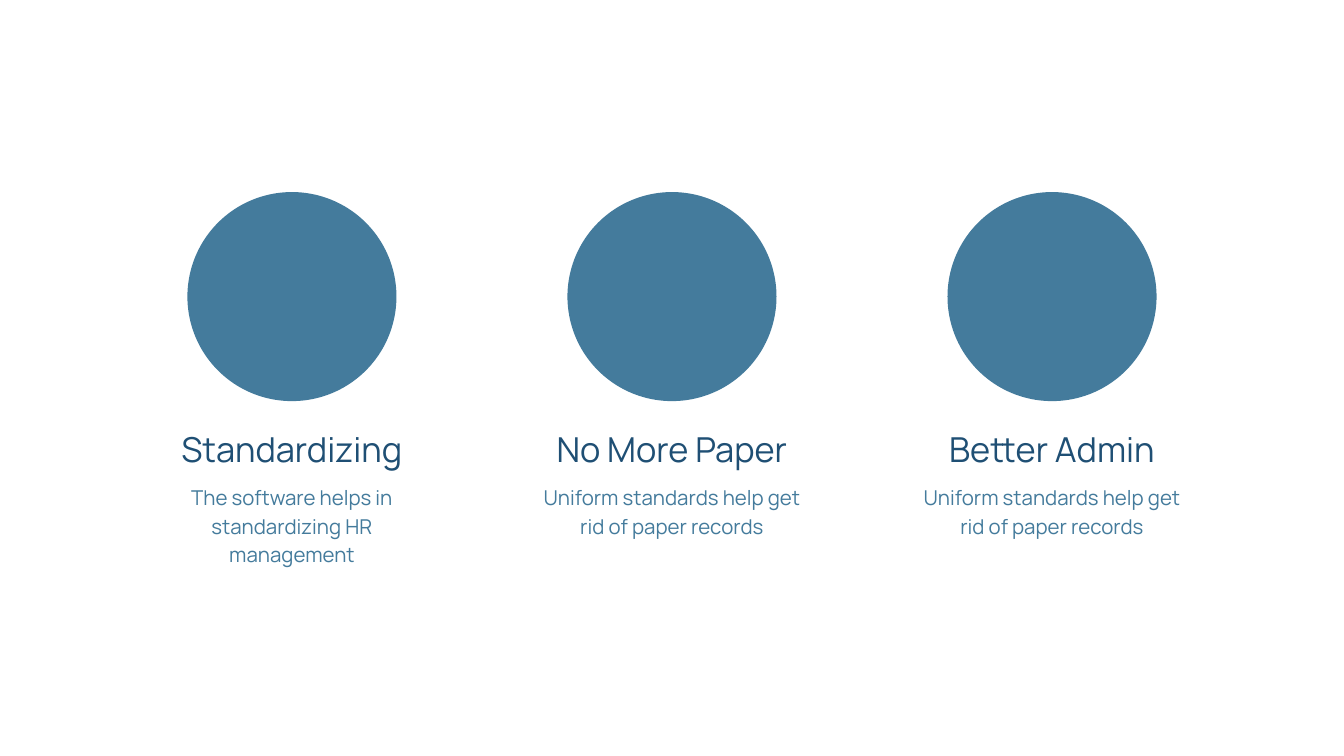
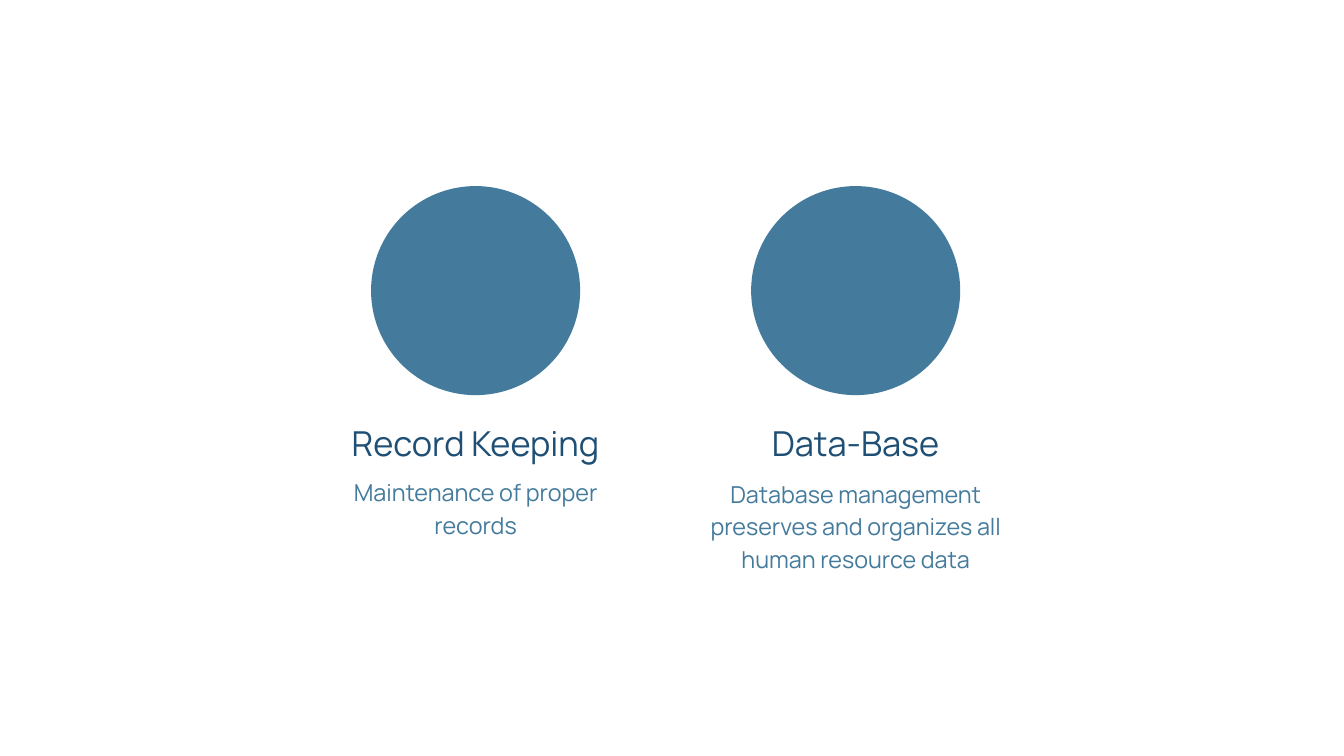
from pptx import Presentation
from pptx.dml.color import RGBColor
from pptx.enum.shapes import MSO_SHAPE
from pptx.enum.text import MSO_ANCHOR, MSO_AUTO_SIZE, PP_ALIGN
from pptx.util import Pt

COLORS = {"background": "FFFFFF", "title": "1F4F74", "accent": "447B9C"}
FONT = "Manrope"
SLIDE_WIDTH, SLIDE_HEIGHT = 1440, 810
COLUMN_PITCH = 407.2
CIRCLE_SIZE = 224
TITLE_OFFSET, TITLE_WIDTH = 245.5, 347.5
TITLE_SIZE, TITLE_SPACING = 36.8, 51.5

BENEFITS = [
    ("Standardizing", "The software helps in standardizing HR management", 292.3, 309.6, 3),
    ("No More Paper", "Uniform standards help get rid of paper records", 292.3, 309.6, 2),
    ("Better Admin", "Uniform standards help get rid of paper records", 292.3, 309.6, 2),
]
RECORDS = [
    ("Record Keeping", "Maintenance of proper records", 266.4, 308.2, 2),
    ("Data-Base", "Database management preserves and organizes all human resource data",
     374.4, 309.8, 3),
]


def color(name):
    return RGBColor.from_string(COLORS[name])


def add_slide(presentation):
    slide = presentation.slides.add_slide(presentation.slide_layouts[6])
    slide.background.fill.solid()
    slide.background.fill.fore_color.rgb = color("background")
    return slide


def add_circle(slide, center, top):
    circle = slide.shapes.add_shape(
        MSO_SHAPE.OVAL, Pt(center - CIRCLE_SIZE / 2), Pt(top), Pt(CIRCLE_SIZE), Pt(CIRCLE_SIZE))
    circle.shadow.inherit = False
    circle.fill.solid()
    circle.fill.fore_color.rgb = color("accent")
    circle.line.fill.background()


def add_centered_text(slide, text, center, top, width, size, spacing, color_name, lines=1):
    box = slide.shapes.add_textbox(
        Pt(center - width / 2), Pt(top), Pt(width), Pt(lines * spacing - 3))
    frame = box.text_frame
    frame.word_wrap = True
    frame.auto_size = MSO_AUTO_SIZE.SHAPE_TO_FIT_TEXT
    frame.vertical_anchor = MSO_ANCHOR.TOP
    frame.margin_left = frame.margin_right = frame.margin_top = frame.margin_bottom = 0
    paragraph = frame.paragraphs[0]
    paragraph.text = text
    paragraph.alignment = PP_ALIGN.CENTER
    paragraph.line_spacing = Pt(spacing)
    paragraph.font.name = FONT
    paragraph.font.size = Pt(size)
    paragraph.font.color.rgb = color(color_name)


def add_columns_slide(presentation, columns, middle, top, body_size, body_spacing):
    slide = add_slide(presentation)
    first_center = middle - COLUMN_PITCH * (len(columns) - 1) / 2
    for index, (title, body, body_width, body_offset, lines) in enumerate(columns):
        center = first_center + index * COLUMN_PITCH
        add_circle(slide, center, top)
        add_centered_text(slide, title, center, top + TITLE_OFFSET, TITLE_WIDTH,
                          TITLE_SIZE, TITLE_SPACING, "title")
        add_centered_text(slide, body, center, top + body_offset, body_width,
                          body_size, body_spacing, "accent", lines)


def main():
    presentation = Presentation()
    presentation.slide_width = Pt(SLIDE_WIDTH)
    presentation.slide_height = Pt(SLIDE_HEIGHT)
    add_columns_slide(presentation, BENEFITS, SLIDE_WIDTH / 2, 205.8, 21.9, 30.6)
    add_columns_slide(presentation, RECORDS, 713.2, 199.4, 25, 35)
    presentation.save("out.pptx")


if __name__ == "__main__":
    main()
